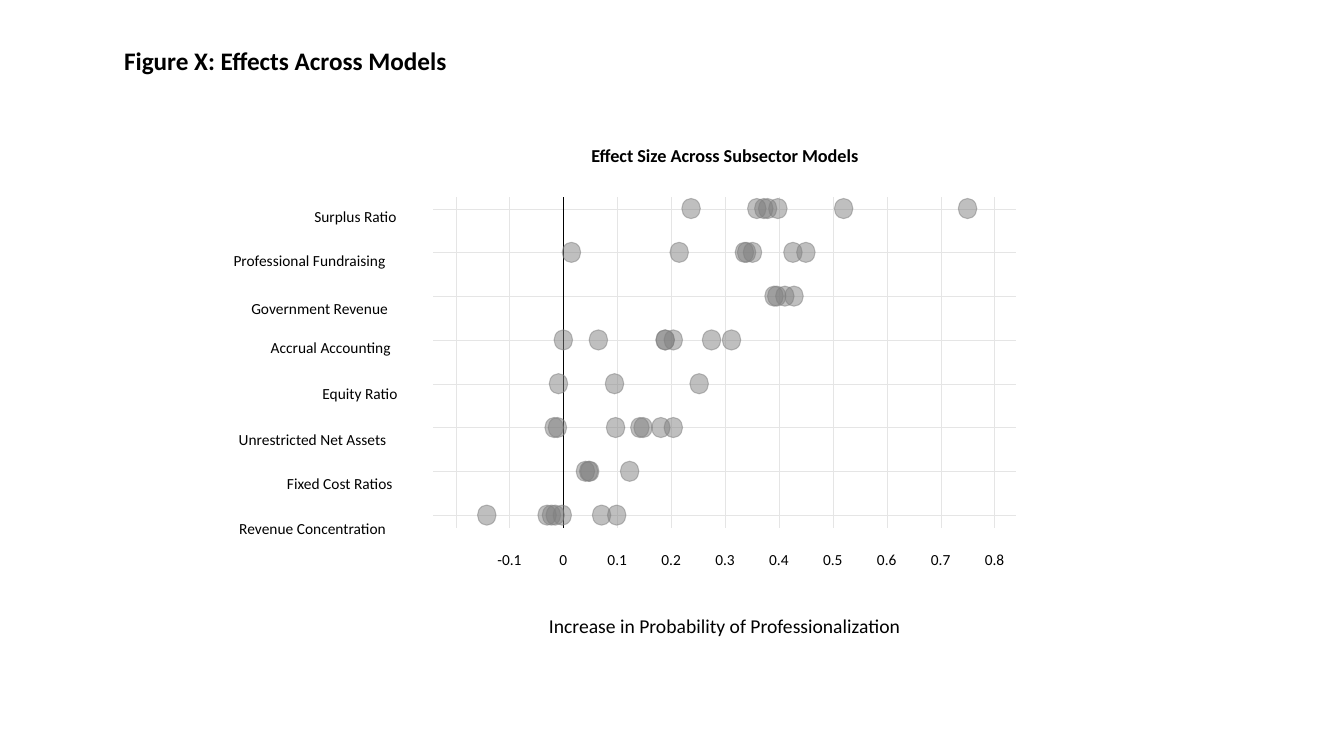
from dataclasses import dataclass

from pptx import Presentation
from pptx import util as u
from pptx.dml import color
from pptx.enum import shapes, text
from pptx.oxml import ns, xmlchemy as xml

Pt = u.Pt


@dataclass(frozen=True)
class Theme:
    font: str = "Calibri"
    ink: str = "000000"
    grid: str = "E5E5E5"
    dot: str = "808080"
    alpha: int = 50000
    head: int = 18
    title: int = 13
    axis: int = 14
    label: int = 11
    hair: float = 0.07
    edge: float = 0.75


THEME = Theme()

# Label, width, shift from the grid line, effects in percentage points
ROWS = [
    ("Surplus Ratio", 77, -8.5, [37.9, 52, 23.7, 35.9, 37.2, 39.8, 75]),
    ("Professional Fundraising", 142.6, -8.8, [34, 42.6, 21.5, 33.6, 35.1, 45, 1.5]),
    ("Government Revenue", 128.2, -5.6, [39.1, 39.6, 41.1, 42.8]),
    ("Accrual Accounting", 112.3, -8.7, [18.9, 27.5, 6.5, 18.9, 20.4, 31.2, 0]),
    ("Equity Ratio", 70.6, -7.6, [9.5, 25.2, -0.9]),
    ("Unrestricted Net Assets", 138.2, -5.8, [9.7, 14.2, -1.7, 14.8, 20.4, 18.1, -1.1]),
    ("Fixed Cost Ratios", 99.4, -5.4, [4.1, 12.3, 4.7, 4.9]),
    ("Revenue Concentration", 138.2, -5, [-2.2, 7.1, -14.2, -3, -0.2, 9.9, -1.5]),
]
TICKS = range(-20, 90, 10)


def rgb(code):
    return color.RGBColor.from_string(code)


def write(host, words, box, size, bold=False, align=text.PP_ALIGN.CENTER,
          anchor=text.MSO_ANCHOR.BOTTOM, inset=(0, 0, 0, 0), lead=1.07):
    frame = host.add_textbox(*map(Pt, box)).text_frame
    frame.word_wrap = False
    frame.auto_size = text.MSO_AUTO_SIZE.SHAPE_TO_FIT_TEXT
    frame.vertical_anchor = anchor
    frame.margin_left, frame.margin_top, frame.margin_right, frame.margin_bottom = map(Pt, inset)
    para = frame.paragraphs[0]
    para.alignment = align
    para.line_spacing = lead
    run = para.add_run()
    run.text = words
    run.font.name = THEME.font
    run.font.size = Pt(size)
    run.font.bold = bold
    run.font.color.rgb = rgb(THEME.ink)


def rule(host, x1, y1, x2, y2, shade):
    line = host.add_connector(shapes.MSO_CONNECTOR.STRAIGHT, *map(Pt, (x1, y1, x2, y2)))
    line.line.color.rgb = rgb(shade)
    line.line.width = Pt(THEME.hair)
    line._element.spPr.append(xml.OxmlElement("a:effectLst"))


def dot(host, x, y, wide=13.2, high=14.4):
    mark = host.add_shape(shapes.MSO_SHAPE.OVAL,
                          *map(Pt, (x - wide / 2, y - high / 2, wide, high)))
    mark.shadow.inherit = False
    mark.fill.solid()
    mark.fill.fore_color.rgb = rgb(THEME.dot)
    mark.line.color.rgb = rgb(THEME.dot)
    mark.line.width = Pt(THEME.edge)
    for tint in mark._element.spPr.iter(ns.qn("a:srgbClr")):
        alpha = xml.OxmlElement("a:alpha")
        alpha.set("val", str(THEME.alpha))
        tint.append(alpha)


def header(slide, box):
    write(slide.shapes, "Figure X: Effects Across Models", box, THEME.head, bold=True,
          align=text.PP_ALIGN.LEFT, anchor=text.MSO_ANCHOR.MIDDLE,
          inset=(21.6, 18, 0, 7.9), lead=1)


def plot(slide, box):
    left, top, wide, high = box
    right, base = left + wide, top + high
    host = slide.shapes.add_group_shape().shapes

    def across(value):
        return left + 92.8 + value * 3.85

    def down(row):
        return top + 8.6 + row * 31.28

    write(host, "Effect Size Across Subsector Models",
          (left + 82, top - 46, wide - 164, 24.5), THEME.title, bold=True)
    write(host, "Increase in Probability of Professionalization",
          (left + 82, base + 60.8, wide - 164, 17.3), THEME.axis)

    for row in range(len(ROWS)):
        rule(host, left, down(row), right, down(row), THEME.grid)
    for tick in TICKS:
        rule(host, across(tick), base, across(tick), top, THEME.grid)
    rule(host, across(0), base, across(0), top, THEME.ink)

    for tick in TICKS[1:]:
        write(host, f"{tick / 100:g}", (across(tick) - 9, base + 8.2, 18, 20.9), THEME.label)
    for row, (name, span, shift, _) in enumerate(ROWS):
        write(host, name, (left - 17.2 - span, down(row) + shift, span, 20.9), THEME.label)
    for row, (*_, values) in enumerate(ROWS):
        for value in values:
            dot(host, across(value), down(row))


def main():
    deck = Presentation()
    deck.slide_width, deck.slide_height = Pt(960), Pt(540)
    slide = deck.slides.add_slide(deck.slide_layouts[6])
    header(slide, (67, 20.2, 960, 36))
    plot(slide, (309.6, 140.4, 416.2, 236.6))
    deck.save("out.pptx")


if __name__ == "__main__":
    main()
